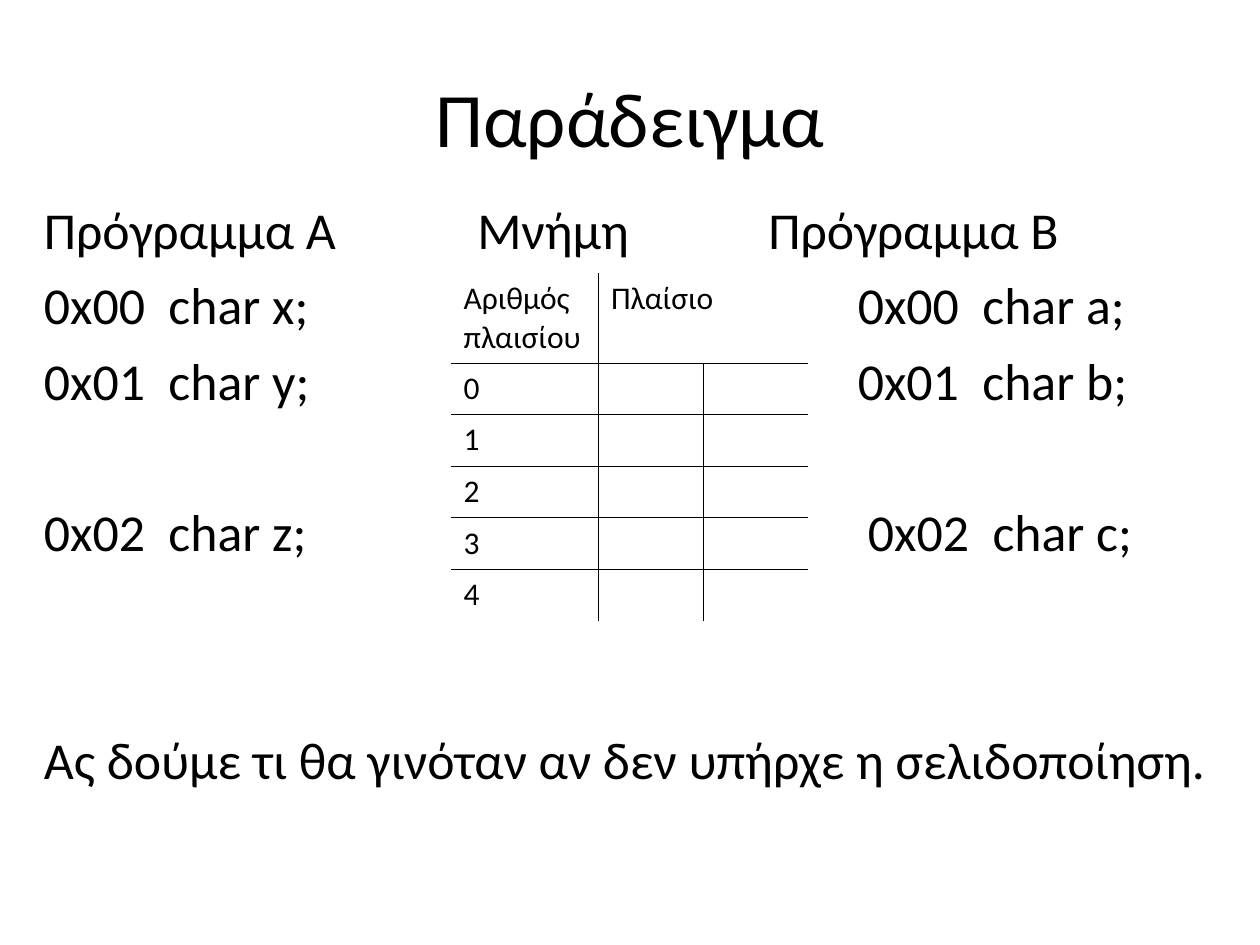
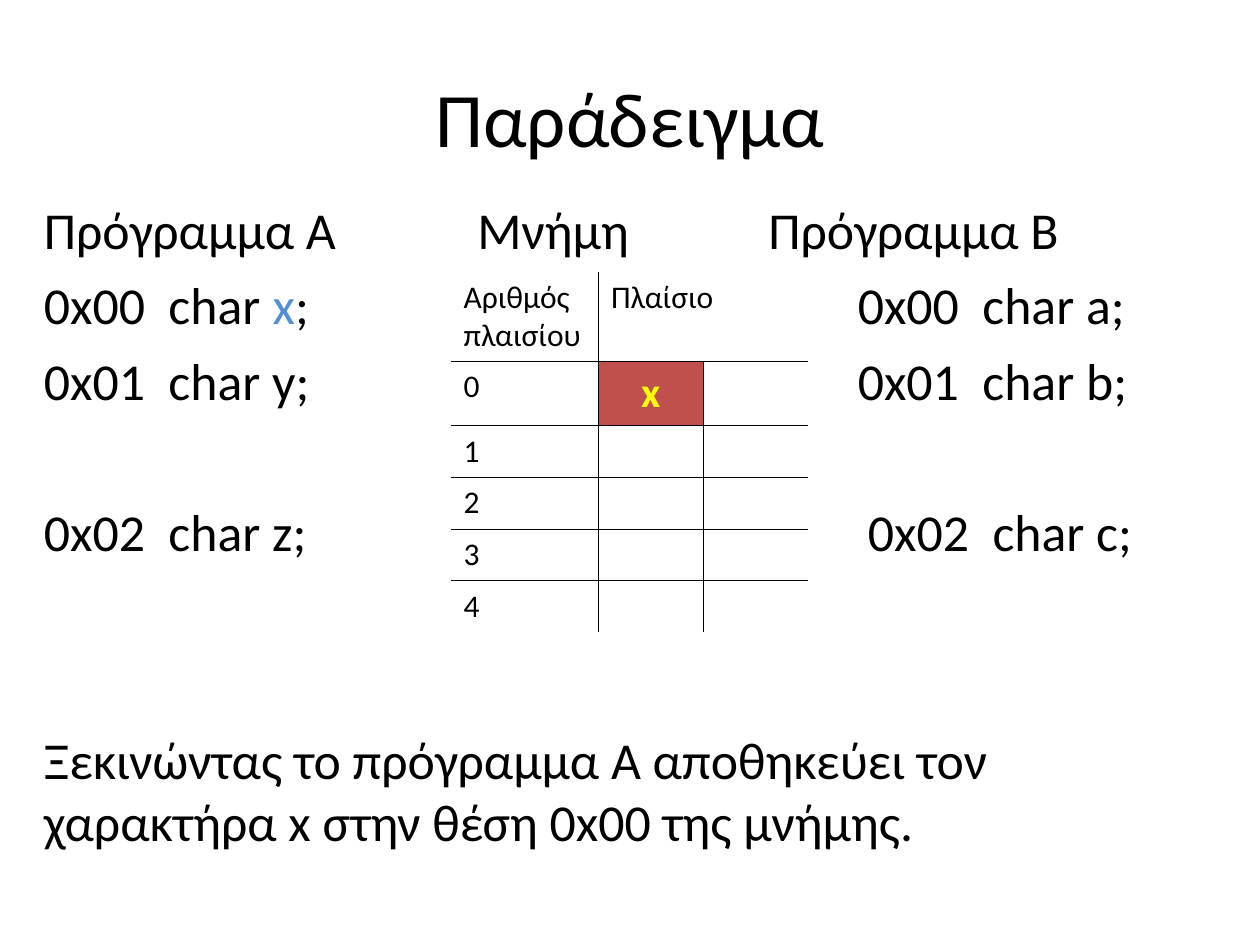
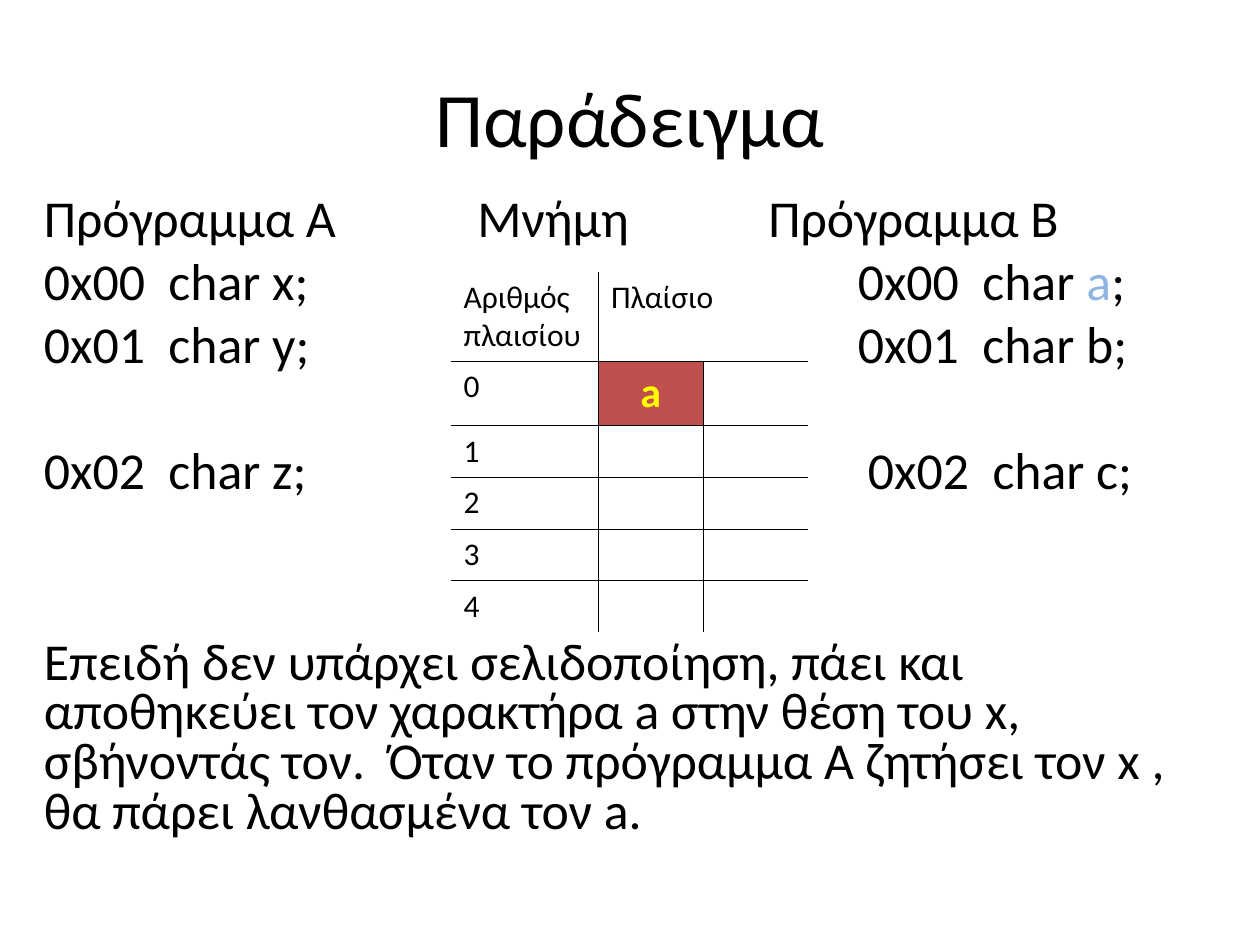
import pptx
import pptx.util
import pptx.dml.color
import pptx.enum.text
import pptx.oxml.ns
import lxml.etree

Inches, Pt = pptx.util.Inches, pptx.util.Pt
ALIGN = pptx.enum.text.PP_ALIGN
ANCHOR = pptx.enum.text.MSO_ANCHOR
qn = pptx.oxml.ns.qn

COLORS = {"text": "000000", "mark": "FFFF00", "used": "C0504D",
          "blue": "558ED5", "light_blue": "8EB4E3"}
FORMATS = {
    "title": {"name": "Calibri", "size": Pt(44)},
    "body": {"name": "Calibri", "size": Pt(29.6)},
    "cell": {"name": "Calibri", "size": Pt(18)},
    "mark": {"name": "Calibri", "size": Pt(24), "bold": True},
}
NO_STYLE = "{2D5ABB26-0587-4C30-8999-92F81FD0307C}"
LINE_PT = 36.1   # height of one body line
GAP_PT = 7.5     # space between body paragraphs

TITLE = "Παράδειγμα"
# Body lines: text, tab stops in inches, empty lines left above
LINES = [
    ("Πρόγραμμα Α\tΜνήμη\tΠρόγραμμα Β", (3.44, 5.75), 0),
    ("0x00  char x;\t0x00  char a;", (6.46,), 0),
    ("0x01  char y;\t0x01  char b;", (6.46,), 0),
    ("0x02  char z;\t0x02  char c;", (6.54,), 1),
]
SLIDES = [
    {"closing": "Ας δούμε τι θα γινόταν αν δεν υπήρχε η σελιδοποίηση."},
    {"closing": "Ξεκινώντας το πρόγραμμα Α αποθηκεύει τον χαρακτήρα x "
                "στην θέση 0x00 της μνήμης.",
     "stored": "x", "color": "blue"},
    {"closing": "Επειδή δεν υπάρχει σελιδοποίηση, πάει και αποθηκεύει τον "
                "χαρακτήρα a στην θέση του x, σβήνοντάς τον.  Όταν το "
                "πρόγραμμα Α ζητήσει τον x , θα πάρει λανθασμένα τον a.",
     "stored": "a", "color": "light_blue", "spacing": 0.8},
]


def rgb(name):
    return pptx.dml.color.RGBColor.from_string(COLORS[name])


def add_run(p, text, fmt, color="text"):
    r = p.add_run()
    r.text = text
    for key, value in FORMATS[fmt].items():
        setattr(r.font, key, value)
    r.font.color.rgb = rgb(color)


def add_box(s, left, top, width, height):
    sp = s.shapes.add_textbox(Inches(left), Inches(top),
                              Inches(width), Inches(height))
    sp.text_frame.word_wrap = True
    return sp.text_frame


def add_title(s):
    tf = add_box(s, 0.5, 0.3, 9, 1.25)
    tf.vertical_anchor = ANCHOR.MIDDLE
    tf.paragraphs[0].alignment = ALIGN.CENTER
    add_run(tf.paragraphs[0], TITLE, "title")


def set_tabs(p, stops):
    tabs = lxml.etree.SubElement(p._p.get_or_add_pPr(), qn("a:tabLst"))
    for stop in stops:
        lxml.etree.SubElement(tabs, qn("a:tab"), pos=str(Inches(stop)), algn="l")


def add_body(s, closing, stored=None, color="text", spacing=1.0):
    """Write the two programs and the closing sentence."""
    tf = add_box(s, 0.25, 1.52, 9.58, 5.75)
    tf.margin_right = Inches(0.23)
    for i, (text, stops, skipped) in enumerate(LINES + [(closing, (), 2)]):
        p = tf.add_paragraph() if i else tf.paragraphs[0]
        if stops:
            set_tabs(p, stops)
        p.line_spacing = spacing
        if i:
            p.space_before = Pt(round(
                GAP_PT + skipped * (GAP_PT + LINE_PT * spacing), 1))
        # Colour the variable that is being stored
        if stored and f"{stored};" in text:
            before, _, after = text.partition(f"{stored};")
            add_run(p, before, "body")
            add_run(p, stored, "body", color)
            add_run(p, ";" + after, "body")
        else:
            add_run(p, text, "body")


def set_borders(cell, sides):
    tcPr = cell._tc.get_or_add_tcPr()
    for side in sides:
        ln = lxml.etree.SubElement(tcPr, qn(f"a:ln{side}"), w=str(Pt(0.45)))
        fill = lxml.etree.SubElement(ln, qn("a:solidFill"))
        lxml.etree.SubElement(fill, qn("a:srgbClr"), val=COLORS["text"])


def add_memory(s, stored=None):
    """Draw the frame table, with inner rules only."""
    widths = [1.17, 0.83, 0.83]
    heights = [0.71, 0.51 if stored else 0.41] + [0.41] * 4
    n_rows, n_cols = len(heights), len(widths)
    frame = s.shapes.add_table(n_rows, n_cols, Inches(3.58),
                               Inches(2.16 if stored else 2.17),
                               Inches(sum(widths)), Inches(sum(heights)))
    tbl = frame.table
    tbl.first_row = tbl.horz_banding = False
    tbl._tbl.tblPr.find(qn("a:tableStyleId")).text = NO_STYLE
    for col, width in zip(tbl.columns, widths):
        col.width = Inches(width)
    for row, height in zip(tbl.rows, heights):
        row.height = Inches(height)
    tbl.cell(0, 1).merge(tbl.cell(0, 2))

    texts = {(0, 0): "Αριθμός πλαισίου", (0, 1): "Πλαίσιο"}
    texts.update({(i, 0): str(i - 1) for i in range(1, n_rows)})
    for i in range(n_rows):
        for j in range(n_cols):
            cell = tbl.cell(i, j)
            inner = {"L": j > 0 and (i, j) != (0, 2),
                     "R": j < n_cols - 1 and (i, j) != (0, 1),
                     "T": i > 0, "B": i < n_rows - 1}
            set_borders(cell, [side for side, on in inner.items() if on])
            cell.fill.background()
            if (i, j) in texts:
                add_run(cell.text_frame.paragraphs[0], texts[i, j], "cell")

    # Frame that holds the stored character
    if stored:
        cell = tbl.cell(1, 1)
        cell.fill.solid()
        cell.fill.fore_color.rgb = rgb("used")
        p = cell.text_frame.paragraphs[0]
        p.alignment = ALIGN.CENTER
        add_run(p, stored, "mark", "mark")


def main():
    prs = pptx.Presentation()
    prs.slide_width, prs.slide_height = Inches(10), Inches(7.5)
    for content in SLIDES:
        s = prs.slides.add_slide(prs.slide_layouts[6])
        add_title(s)
        add_body(s, **content)
        add_memory(s, content.get("stored"))
    prs.save("out.pptx")


if __name__ == "__main__":
    main()
